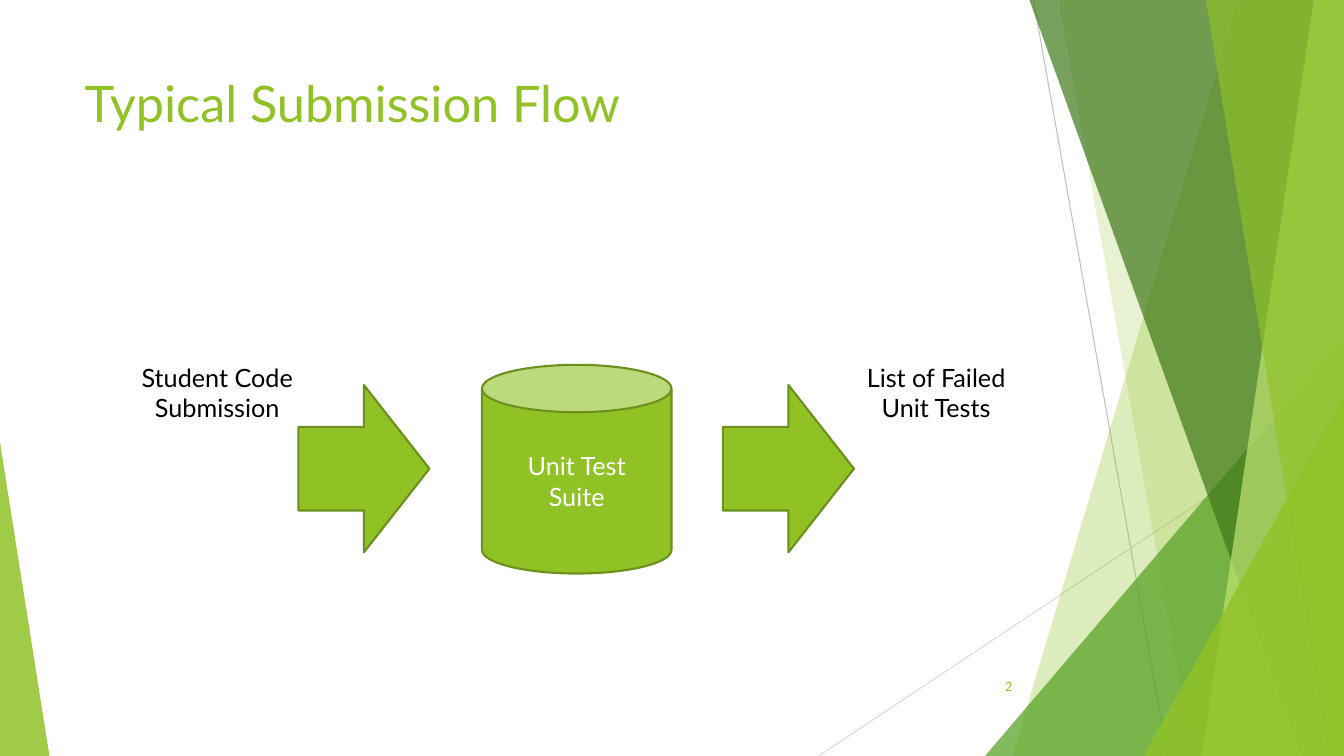
from lxml import etree
from pptx import Presentation
from pptx.dml.color import RGBColor
from pptx.enum.shapes import MSO_CONNECTOR, MSO_SHAPE
from pptx.enum.text import MSO_ANCHOR, PP_ALIGN
from pptx.oxml.ns import qn
from pptx.util import Pt

PX = 9144  # EMU in one px, 100 px to the inch
WIDTH, HEIGHT = 1333, 750
FONT = "Lato"

LIME = RGBColor(0x90, 0xC2, 0x26)
PALE_LIME = RGBColor(0xC0, 0xE4, 0x74)
GREEN = RGBColor(0x54, 0xA0, 0x21)
DARK_GREEN = RGBColor(0x3F, 0x78, 0x19)
OUTLINE = RGBColor(0x6B, 0x90, 0x1C)
GRAY = RGBColor(0xBF, 0xBF, 0xBF)
LIGHT_GRAY = RGBColor(0xD9, 0xD9, 0xD9)
BLACK = RGBColor(0, 0, 0)
WHITE = RGBColor(0xFF, 0xFF, 0xFF)

TRIANGLE = MSO_SHAPE.ISOSCELES_TRIANGLE
RIGHT_ARROW = MSO_SHAPE.RIGHT_ARROW
CAN = MSO_SHAPE.CAN
STRAIGHT = MSO_CONNECTOR.STRAIGHT
TOP, MIDDLE = MSO_ANCHOR.TOP, MSO_ANCHOR.MIDDLE
LEFT, CENTER, RIGHT = PP_ALIGN.LEFT, PP_ALIGN.CENTER, PP_ALIGN.RIGHT


def emu(*lengths):
    return [n * PX for n in lengths]


def write_text(sp, text, size=18, color=BLACK, align=CENTER, anchor=TOP):
    """Fill a shape with one paragraph for each line of text."""
    tf = sp.text_frame
    tf.word_wrap = True
    tf.vertical_anchor = anchor
    tf.text = text
    for p in tf.paragraphs:
        p.alignment = align
        p.font.name = FONT
        p.font.size = Pt(size)
        p.font.color.rgb = color


def add_text(slide, box, text, **text_format):
    write_text(slide.shapes.add_textbox(*emu(*box)), text, **text_format)


def add_hairline(slide, start, end, color):
    line = slide.shapes.add_connector(STRAIGHT, *emu(*start, *end))
    line.line.color.rgb = color
    line.line.width = Pt(0.75)
    etree.SubElement(line._element.spPr, qn("a:effectLst"))


def paint_facet(sp, color, opacity):
    """Give a shape a see-through fill, with no line and no shadow."""
    sp.shadow.inherit = False
    sp.line.fill.background()
    sp.fill.solid()
    sp.fill.fore_color.rgb = color
    srgb = sp._element.spPr.find(qn("a:solidFill")).find(qn("a:srgbClr"))
    etree.SubElement(srgb, qn("a:alpha"), val=str(opacity * 1000))


def add_band(slide, top_x, bottom_x, color, opacity):
    """Fill from a slanted left edge to the right edge of the slide."""
    builder = slide.shapes.build_freeform(top_x, 0, scale=PX)
    builder.add_line_segments([(WIDTH, 0), (WIDTH, HEIGHT), (bottom_x, HEIGHT)])
    paint_facet(builder.convert_to_shape(), color, opacity)


def add_corner(slide, left, width, height, peak, color, opacity):
    """Stand a right triangle on the bottom edge; peak 0 is left, 1 is right."""
    box = emu(left, HEIGHT - height, width, height)
    sp = slide.shapes.add_shape(TRIANGLE, *box)
    sp.adjustments[0] = peak
    paint_facet(sp, color, opacity)


def add_flow_shape(slide, kind, box):
    sp = slide.shapes.add_shape(kind, *emu(*box))
    sp.shadow.inherit = False
    sp.fill.solid()
    sp.fill.fore_color.rgb = LIME
    sp.line.color.rgb = OUTLINE
    sp.line.width = Pt(1.5)
    return sp


def add_backdrop(slide):
    add_hairline(slide, (1025, 0), (1158, HEIGHT), GRAY)
    add_hairline(slide, (WIDTH, 403), (812, HEIGHT), LIGHT_GRAY)
    add_band(slide, 1228, 1004, LIME, 30)
    add_band(slide, 1050, 1183, LIME, 20)
    add_corner(slide, 977, 356, 417, 1, GREEN, 72)
    add_band(slide, 1021, 1291, DARK_GREEN, 70)
    add_band(slide, 1303, 1192, PALE_LIME, 70)
    add_band(slide, 1196, 1318, LIME, 65)
    add_corner(slide, 1134, 199, 357, 1, LIME, 80)
    add_corner(slide, 0, 49, 311, 0, LIME, 85)


def add_flow(slide):
    for left in (296, 717):
        add_flow_shape(slide, RIGHT_ARROW, (left, 382, 130, 166))
    suite = add_flow_shape(slide, CAN, (478, 362, 188, 207))
    write_text(suite, "Unit Test\nSuite", color=WHITE, anchor=MIDDLE)
    for left, label in ((130, "Student Code Submission"),
                        (843, "List of Failed Unit Tests")):
        add_text(slide, (left, 354, 171, 71), label)


def main():
    prs = Presentation()
    prs.slide_width, prs.slide_height = emu(WIDTH, HEIGHT)
    slide = prs.slides.add_slide(prs.slide_layouts[6])
    add_backdrop(slide)
    add_text(slide, (74, 67, 940, 144), "Typical Submission Flow",
             size=36, color=LIME, align=LEFT)
    add_flow(slide)
    add_text(slide, (939, 661, 75, 40), "2",
             size=9, color=LIME, align=RIGHT, anchor=MIDDLE)
    prs.save("out.pptx")


if __name__ == "__main__":
    main()
